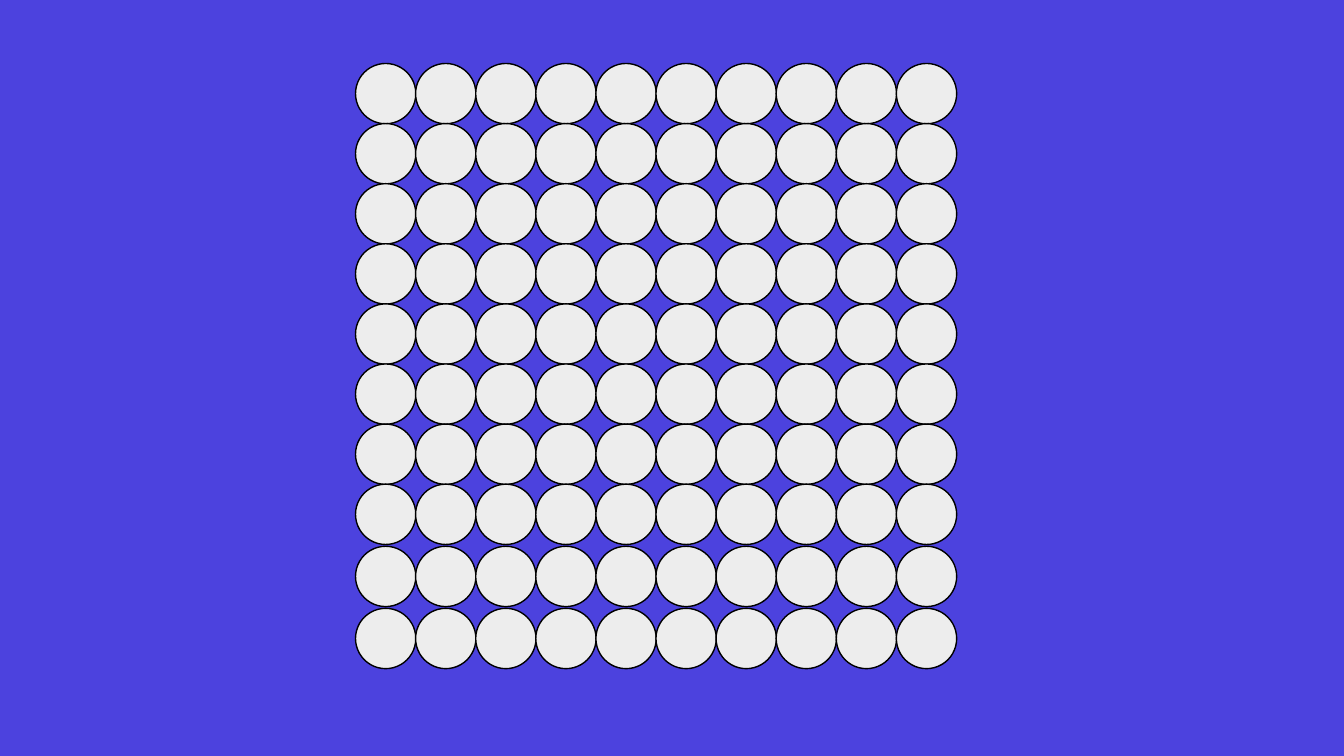
"""Build a slide with a ten by ten grid of touching circles."""
from dataclasses import dataclass
from itertools import product

from pptx import Presentation, util as u
from pptx.dml.color import RGBColor
from pptx.enum import shapes


@dataclass(frozen=True)
class Theme:
    """Colours and line width of the slide."""
    background: RGBColor = RGBColor.from_string("4C42DE")
    circle: RGBColor = RGBColor.from_string("EDEDED")
    outline: RGBColor = RGBColor.from_string("000000")
    outline_width: u.Length = u.Pt(1)


THEME = Theme()
COUNT = 10
LEFT, TOP = 8.96, 1.6
DIAMETER = 1.52
PITCH = 13.63 / (COUNT - 1)
LAST_CLOSE_ROW = 7
EXTRA_ROW_GAP = 0.05


def apply_format(target, values):
    """Set each named attribute on the target."""
    for name, value in values.items():
        setattr(target, name, value)


def paint(fill, color):
    """Give a fill one solid colour."""
    fill.solid()
    fill.fore_color.rgb = color


def add_circle(slide, left, top):
    """Add one outlined circle, placed in centimetres."""
    size = u.Cm(DIAMETER)
    shape = slide.shapes.add_shape(
        shapes.MSO_SHAPE.OVAL, u.Cm(left), u.Cm(top), size, size)
    paint(shape.fill, THEME.circle)
    paint(shape.line.fill, THEME.outline)
    apply_format(shape.line, {"width": THEME.outline_width})
    apply_format(shape.shadow, {"inherit": False})


def add_circle_grid(slide):
    """Add the grid row by row, with wider gaps above the last rows."""
    for row, column in product(range(COUNT), repeat=2):
        extra = EXTRA_ROW_GAP * max(0, row - LAST_CLOSE_ROW)
        add_circle(slide, LEFT + column * PITCH, TOP + row * PITCH + extra)


def main():
    """Build and save the presentation."""
    presentation = Presentation()
    apply_format(presentation, {"slide_width": u.Cm(33.87),
                                "slide_height": u.Cm(19.05)})
    blank_layout = presentation.slide_layouts.get_by_name("Blank")
    slide = presentation.slides.add_slide(blank_layout)
    paint(slide.background.fill, THEME.background)
    add_circle_grid(slide)
    presentation.save("out.pptx")


if __name__ == "__main__":
    main()
